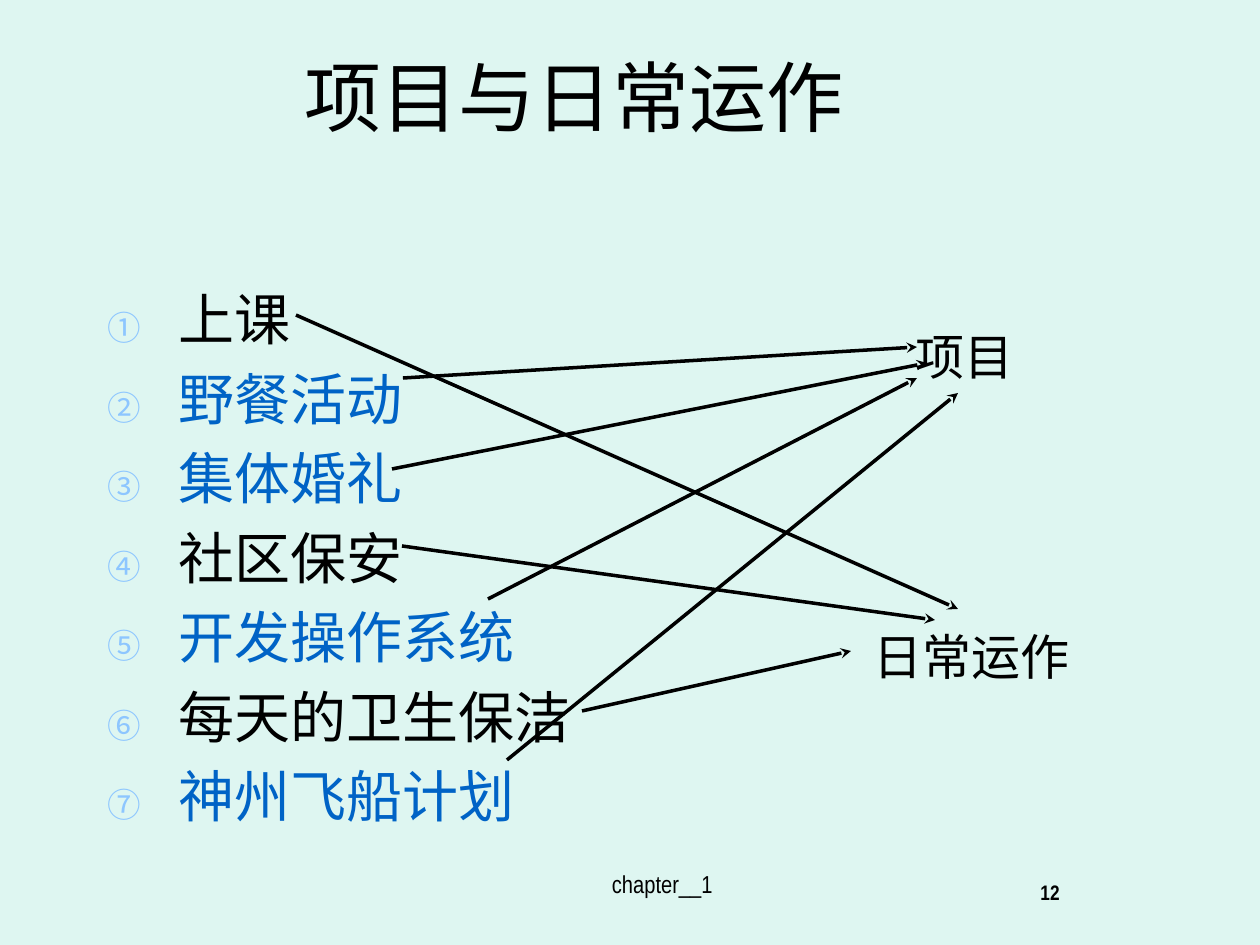
from lxml import etree
from pptx import Presentation, util as u
from pptx.dml.color import RGBColor
from pptx.enum import shapes, text
from pptx.oxml.ns import qn

MINT = RGBColor(0xDE, 0xF6, 0xF1)
BLACK = RGBColor(0, 0, 0)
BLUE = RGBColor(0x00, 0x63, 0xC6)
PALE = RGBColor(0x8D, 0xC6, 0xFF)
HEAD, BODY, FOOT = "Noto Sans CJK SC", "Noto Sans CJK JP", "Arial Narrow"
LEFT, MID = text.PP_ALIGN.LEFT, text.PP_ALIGN.CENTER
LEAD = 1.2  # line height of the Chinese text, in font sizes

TITLE = "项目与日常运作"
ITEMS = [  # wording, colour
    ("上课", BLACK),
    ("野餐活动", BLUE),
    ("集体婚礼", BLUE),
    ("社区保安", BLACK),
    ("开发操作系统", BLUE),
    ("每天的卫生保洁", BLACK),
    ("神州飞船计划", BLUE),
]
LABELS = [  # wording, left, top
    ("日常运作", 861, 615),
    ("项目", 903, 315),
]
ARROWS = [  # x and y of the start, x and y of the tip
    (507, 760, 958, 393),
    (488, 599, 917, 378),
    (403, 378, 917, 347),
    (392, 469, 927, 363),
    (296, 315, 958, 609),
    (402, 546, 935, 620),
    (582, 711, 851, 651),
]


def px(n):
    return u.Emu(round(n * 914400 / 126))


def write(box, lines, size, font, align=LEFT, bold=False):
    """Add a text box holding (wording, colour) lines and return its frame."""
    frame = slide.shapes.add_textbox(*map(px, box)).text_frame
    frame.word_wrap = True
    for i, (words, color) in enumerate(lines):
        para = frame.add_paragraph() if i else frame.paragraphs[0]
        para.text = words
        para.alignment = align
        face = para.runs[0].font
        face.size, face.name, face.bold = u.Pt(size), font, bold
        face.color.rgb = color
        if font != FOOT:
            para.line_spacing = u.Pt(size * LEAD)
            etree.SubElement(face._element, qn("a:ea"), typeface=font)
    if font == FOOT:
        frame.vertical_anchor = text.MSO_ANCHOR.MIDDLE
    else:
        frame.margin_top = u.Pt(3.6 + size / 10)
    return frame


def number(para):
    """Give a paragraph a pale circled number and a hanging indent."""
    para.space_before = u.Pt(7)
    props = para._p.get_or_add_pPr()
    props.set("marL", str(px(71)))
    props.set("indent", str(px(-71)))
    tint = etree.SubElement(props, qn("a:buClr"))
    etree.SubElement(tint, qn("a:srgbClr"), val=str(PALE))
    etree.SubElement(props, qn("a:buSzPct"), val="60000")
    etree.SubElement(props, qn("a:buFont"), typeface=BODY)
    etree.SubElement(props, qn("a:buAutoNum"), type="circleNumDbPlain")


def arrow(ends):
    line = slide.shapes.add_connector(
        shapes.MSO_CONNECTOR.STRAIGHT, *map(px, ends))
    line.line.color.rgb = BLACK
    line.line.width = u.Pt(2)
    etree.SubElement(line.line._get_or_add_ln(), qn("a:tailEnd"), type="stealth")
    etree.SubElement(line._element.spPr, qn("a:effectLst"))


deck = Presentation()
deck.slide_width, deck.slide_height = px(1260), px(945)
slide = deck.slides.add_slide(deck.slide_layouts[6])
slide.background.fill.solid()
slide.background.fill.fore_color.rgb = MINT

write((39, 35, 1071, 158), [(TITLE, BLACK)], 44, HEAD, MID)
write((286, 859, 747, 50), [(" chapter__1", BLACK)], 14, FOOT, MID)
page = write((903, 861, 294, 66), [("12", BLACK)], 12, FOOT, MID, True)
page.paragraphs[0].line_spacing = 0.8

for para in write((95, 273, 525, 567), ITEMS, 32, BODY).paragraphs:
    number(para)
for words, left, top in LABELS:
    write((left, top, 273, 72), [(words, BLACK)], 28, BODY)
for ends in ARROWS:
    arrow(ends)

deck.save("out.pptx")
